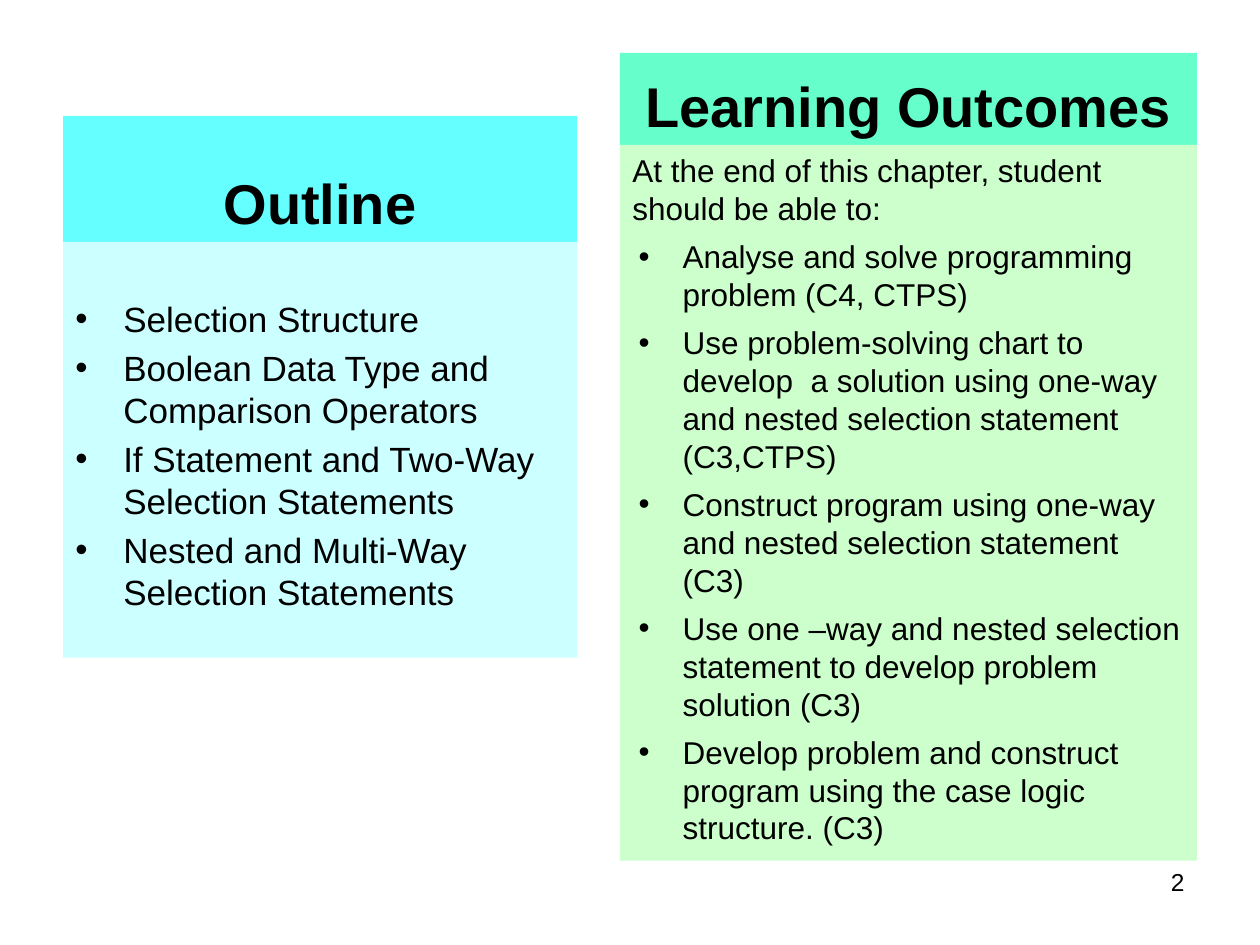
from dataclasses import dataclass

from lxml.etree import SubElement
from pptx import Presentation
from pptx.dml.color import RGBColor
from pptx.enum.shapes import MSO_SHAPE
from pptx.enum.text import MSO_ANCHOR, PP_ALIGN
from pptx.oxml.ns import qn
from pptx.slide import Slide
from pptx.text.text import TextFrame
from pptx.util import Inches, Pt


@dataclass(frozen=True)
class Panel:
    """A coloured heading above a list, with lengths in inches."""

    title: str
    left: float
    top: float
    width: float
    title_height: float
    list_height: float
    title_fill: str
    list_fill: str
    introduction: str
    items: tuple[str, ...]
    size: int
    space: int
    margin: float
    hanging: float
    list_inset: float = 0.05


PANELS = (
    Panel(
        title="Outline",
        left=0.5, top=0.92, width=4.08, title_height=1, list_height=3.3,
        title_fill="66FFFF", list_fill="CCFFFF",
        introduction="",
        items=(
            "Selection Structure",
            "Boolean Data Type and Comparison Operators",
            "If Statement and Two-Way Selection Statements",
            "Nested and Multi-Way Selection Statements",
        ),
        size=20, space=4, margin=0.38, hanging=0.38, list_inset=0.44,
    ),
    Panel(
        title="Learning Outcomes",
        left=4.92, top=0.42, width=4.58, title_height=0.73, list_height=5.68,
        title_fill="66FFCC", list_fill="CCFFCC",
        introduction="At the end of this chapter, student should be able to:",
        items=(
            "Analyse and solve programming problem (C4, CTPS)",
            "Use problem-solving chart to  develop  a solution using one-way "
            "and nested selection statement (C3,CTPS)",
            "Construct program using one-way and nested selection statement (C3)",
            "Use one –way and nested selection statement to develop problem solution (C3)",
            "Develop problem and construct program using the case logic structure. (C3)",
        ),
        size=18, space=6, margin=0.4, hanging=0.35,
    ),
)


def color(value: str) -> RGBColor:
    """Turn a hex string into a colour."""
    return RGBColor.from_string(value)


def add_text(frame: TextFrame, text: str, *, size: int, bold: bool = False,
             align: PP_ALIGN = PP_ALIGN.LEFT, space: int = 0,
             margin: float = 0, hanging: float = 0, bullet: bool = False) -> None:
    """Add one formatted paragraph, using the empty first one when it is free."""
    first = not frame.text
    paragraph = frame.paragraphs[0] if first else frame.add_paragraph()
    paragraph.alignment = align
    paragraph.space_before = Pt(0 if first else space)
    if bullet:
        properties = paragraph._p.get_or_add_pPr()
        properties.set("marL", str(Inches(margin)))
        properties.set("indent", str(-Inches(hanging)))
        SubElement(properties, qn("a:buFont")).set("typeface", "Arial")
        SubElement(properties, qn("a:buChar")).set("char", "•")
    run = paragraph.add_run()
    run.text = text
    run.font.name = "Arial"
    run.font.size = Pt(size)
    run.font.bold = bold
    run.font.color.rgb = color("000000")


def add_block(slide: Slide, left: float, top: float, width: float, height: float,
              fill: str, anchor: MSO_ANCHOR, inset: float = 0.05) -> TextFrame:
    """Draw a filled rectangle and return its text frame."""
    shape = slide.shapes.add_shape(
        MSO_SHAPE.RECTANGLE, Inches(left), Inches(top), Inches(width), Inches(height))
    shape.shadow.inherit = False
    shape.fill.solid()
    shape.fill.fore_color.rgb = color(fill)
    shape.line.fill.background()
    frame = shape.text_frame
    frame.word_wrap = True
    frame.vertical_anchor = anchor
    frame.margin_top = Inches(inset)
    return frame


def draw_panel(slide: Slide, panel: Panel) -> None:
    """Draw the heading and the list of one panel."""
    heading = add_block(slide, panel.left, panel.top, panel.width, panel.title_height,
                        panel.title_fill, MSO_ANCHOR.BOTTOM)
    add_text(heading, panel.title, size=32, bold=True, align=PP_ALIGN.CENTER)
    body = add_block(slide, panel.left, panel.top + panel.title_height, panel.width,
                     panel.list_height, panel.list_fill, MSO_ANCHOR.TOP, panel.list_inset)
    if panel.introduction:
        add_text(body, panel.introduction, size=panel.size)
    for item in panel.items:
        add_text(body, item, size=panel.size, space=panel.space, margin=panel.margin,
                 hanging=panel.hanging, bullet=True)


def draw_slide_number(slide: Slide, number: int) -> None:
    """Write the slide number at the lower right."""
    box = slide.shapes.add_textbox(Inches(7.17), Inches(6.83), Inches(2.33), Inches(0.52))
    box.text_frame.word_wrap = True
    add_text(box.text_frame, str(number), size=14, align=PP_ALIGN.RIGHT)


def main() -> None:
    """Build and save the presentation."""
    presentation = Presentation()
    presentation.slide_width = Inches(10)
    presentation.slide_height = Inches(7.5)
    slide = presentation.slides.add_slide(presentation.slide_layouts[6])
    for panel in PANELS:
        draw_panel(slide, panel)
    draw_slide_number(slide, 2)
    presentation.save("out.pptx")


if __name__ == "__main__":
    main()
